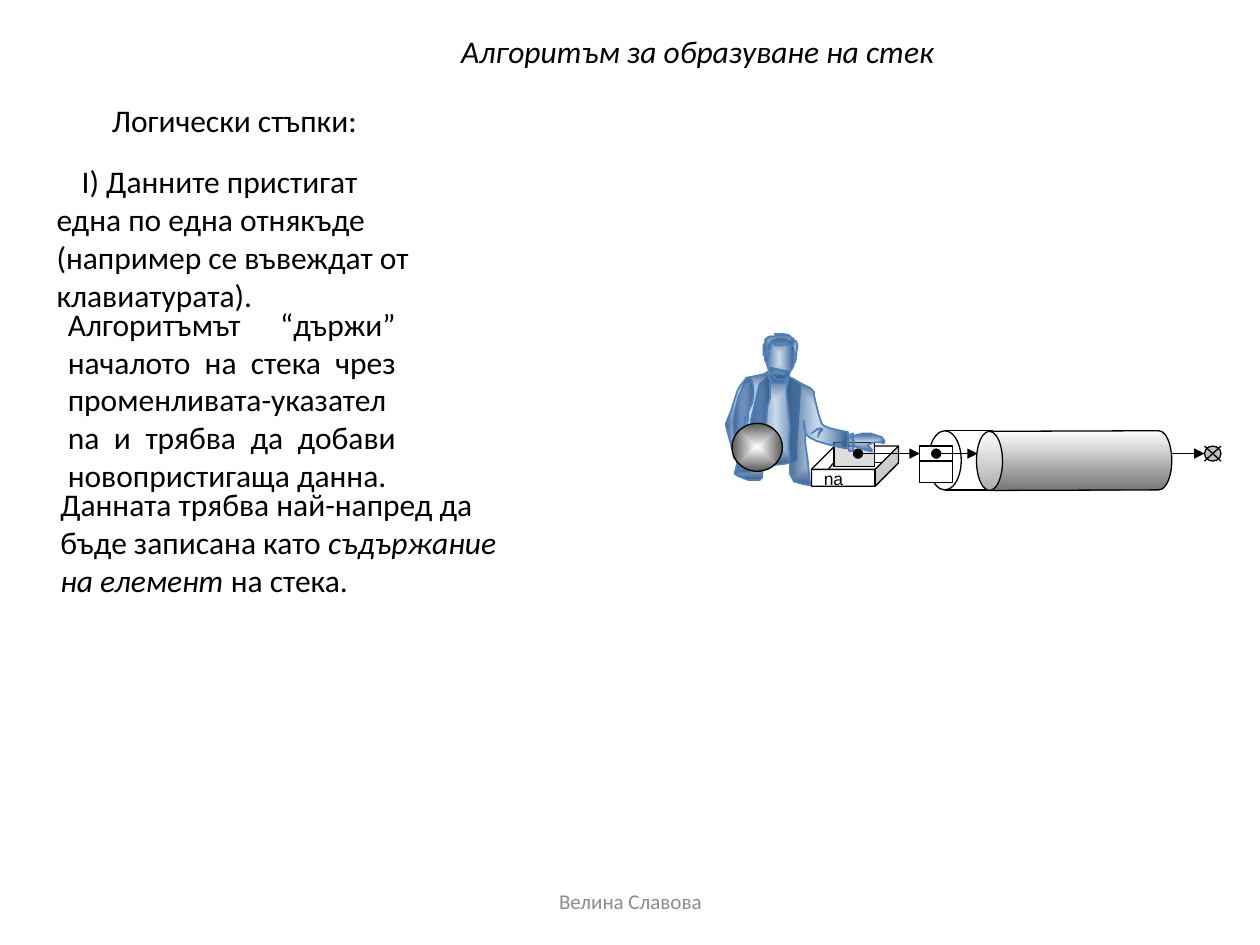
from dataclasses import dataclass

from lxml import etree
from pptx import Presentation
from pptx.dml.color import RGBColor
from pptx.enum.shapes import MSO_CONNECTOR, MSO_SHAPE
from pptx.enum.text import MSO_ANCHOR, MSO_AUTO_SIZE, PP_ALIGN
from pptx.oxml.ns import qn
from pptx.util import Pt

STRAIGHT = MSO_CONNECTOR.STRAIGHT
RECT, OVAL = MSO_SHAPE.RECTANGLE, MSO_SHAPE.OVAL
CAN, CUBE = MSO_SHAPE.CAN, MSO_SHAPE.CUBE
TOP, MIDDLE = MSO_ANCHOR.TOP, MSO_ANCHOR.MIDDLE
LEFT, CENTER, JUSTIFY = PP_ALIGN.LEFT, PP_ALIGN.CENTER, PP_ALIGN.JUSTIFY
NO_FIT = MSO_AUTO_SIZE.NONE


@dataclass(frozen=True)
class Theme:
    font: str = "Calibri"
    label_font: str = "Arial"
    text: int = 18
    footer: int = 12
    label: int = 10
    black: str = "000000"
    white: str = "FFFFFF"
    grey: str = "8C8C8C"
    silver: str = "C0C0C0"
    pale: str = "DDDDDD"
    can_shade: str = "767676"
    ball_shade: str = "595959"
    blue: str = "4F81BD"
    navy: str = "395C87"
    line: float = 0.75


T = Theme()
OUTLINE_UNIT = Pt(0.72)

TORSO = """623,299 625,300 635,306 632,353 632,365 624,368 615,369 605,369 596,365 596,334
603,305 611,298 620,298 622,299"""
NECK = """612,292 612,295 611,296 611,300 612,301 613,303 614,304 620,304 623,303 625,301
625,298 626,295"""
SIDE_HAIR = """630,270 632,271 633,275 632,279 632,281 630,282 630,279 629,275 628,274
630,274 630,273"""
EAR = "630,281 632,281 632,284 631,287 631,288 630,288 630,283"
FACE = """628,272 629,274 630,276 630,290 629,292 627,295 626,299 624,300 623,301 617,301
615,300 613,298 611,296 610,293 609,290 609,288 608,288 608,286 607,286 607,281 610,281
610,274 611,273 612,271 614,270 618,269 623,269 625,270 627,271"""
HAIR = """629,274 630,272 630,269 628,268 626,266 621,265 615,265 616,267 611,267 609,268
607,270 608,271 606,274 606,282 608,280 609,281 609,283 611,282 610,280 610,278 612,277
612,272 615,273 617,274 615,274"""
JACKET_LEFT = """609,295 608,296 606,297 602,298 592,300 591,304 586,315 583,328 582,336
583,348 584,360 585,364 585,368 583,376 586,378 591,380 594,381 603,381 605,379 605,369
606,363 606,357 608,337 609,323 611,316 611,302 610,299"""
FOLD = "594,328 593,343 595,348 593,354 592,364 589,350 589,343"
HAND_LEFT = """585,364 585,371 586,374 589,375 594,375 596,374 597,373 597,369 598,369
599,367 599,366 597,363 595,361 593,361 591,359 584,361"""
CUFF_LEFT = "594,359 592,361 588,363 585,364 583,364 582,362 593,357"
SLEEVE_LEFT = """595,300 592,301 590,303 587,307 585,311 580,327 577,334 576,337 577,341
581,356 583,363 589,362 597,359 591,340 591,333 597,320 598,313 598,309 597,303"""
HAND_RIGHT = """674,354 678,354 681,355 687,357 692,358 692,357 689,354 689,353 691,352
694,351 699,351 701,352 702,351 702,350 700,347 697,346 691,344 685,344 677,346 669,350
669,355"""
CUFF_RIGHT = "677,358 678,351 677,348 677,344 672,346 674,358"
JACKET_RIGHT = """630,301 635,304 643,308 646,311 646,314 650,330 652,336 654,338 659,340
668,342 673,343 673,352 672,356 667,355 658,353 648,350 642,347 640,345 638,340 638,334
639,343 639,351 641,365 643,385 637,384 630,382 627,376 627,367 626,352 627,339 625,320
624,310 626,299"""
ELBOW_CREASE = """652,340 649,340 644,344 649,341 652,341 650,343 649,347 651,343 653,341"""
FIGURE = [
    (TORSO, 1), (NECK, 1), (SIDE_HAIR, 1), (EAR, 1), (FACE, 1), (HAIR, 1),
    (JACKET_LEFT, 1), (FOLD, T.line), (HAND_LEFT, 1), (CUFF_LEFT, 1),
    (SLEEVE_LEFT, 1), (HAND_RIGHT, 1), (CUFF_RIGHT, 1), (JACKET_RIGHT, 1),
    (ELBOW_CREASE, T.line),
]


def rgb(value):
    return RGBColor.from_string(value)


def set_line(shape, color=T.black, width=T.line):
    shape.line.color.rgb = rgb(color)
    shape.line.width = Pt(width)


def set_gradient(shape, start, end, path=None, alpha=100):
    shape.fill.gradient()
    grad = shape._element.spPr.find(qn("a:gradFill"))
    for child in list(grad):
        grad.remove(child)
    grad.set("rotWithShape", "0")
    stops = etree.SubElement(grad, qn("a:gsLst"))
    for pos, color, opacity in ((0, start, alpha), (100, end, 100)):
        stop = etree.SubElement(stops, qn("a:gs"), pos=str(pos * 1000))
        clr = etree.SubElement(stop, qn("a:srgbClr"), val=color)
        if opacity < 100:
            etree.SubElement(clr, qn("a:alpha"), val=str(opacity * 1000))
    if path:
        node = etree.SubElement(grad, qn("a:path"), {"path": path})
        etree.SubElement(node, qn("a:fillToRect"), dict.fromkeys("ltrb", "50000"))
    else:
        etree.SubElement(grad, qn("a:lin"), ang="5400000", scaled="0")


def add_box(s, kind, x, y, w, h, fill=T.white):
    sp = s.shapes.add_shape(kind, Pt(x), Pt(y), Pt(w), Pt(h))
    sp.shadow.inherit = False
    sp.fill.solid()
    sp.fill.fore_color.rgb = rgb(fill)
    set_line(sp)
    return sp


def add_line(s, x1, y1, x2, y2, head=None, tail=None):
    cn = s.shapes.add_connector(STRAIGHT, Pt(x1), Pt(y1), Pt(x2), Pt(y2))
    set_line(cn)
    ln = cn.line._get_or_add_ln()
    for tag, kind in (("a:headEnd", head), ("a:tailEnd", tail)):
        if kind:
            etree.SubElement(ln, qn(tag), type=kind)
    etree.SubElement(cn._element.spPr, qn("a:effectLst"))
    return cn


def add_outline(s, outline, width):
    points = [tuple(map(int, pair.split(","))) for pair in outline.split()]
    builder = s.shapes.build_freeform(*points[0], scale=OUTLINE_UNIT)
    builder.add_line_segments(points[1:], close=True)
    sp = builder.convert_to_shape()
    sp.shadow.inherit = False
    set_gradient(sp, T.blue, T.navy, "rect", 29)
    set_line(sp, T.blue, width)


def write(sp, runs, size=T.text, font=T.font, color=T.black, align=LEFT,
          anchor=MIDDLE, wrap=True, indent=0):
    tf = sp.text_frame
    tf.auto_size = NO_FIT
    tf.word_wrap = wrap
    tf.vertical_anchor = anchor
    p = tf.paragraphs[0]
    p.alignment = align
    p.font.name, p.font.size, p.font.color.rgb = font, Pt(size), rgb(color)
    if indent:
        p._p.get_or_add_pPr().set("indent", str(Pt(indent)))
    for text, italic in runs:
        r = p.add_run()
        r.text = text
        if italic:
            r.font.italic = True


def add_text(s, x, y, w, h, *runs, **style):
    sp = s.shapes.add_textbox(Pt(x), Pt(y), Pt(w), Pt(h))
    write(sp, runs, **style)


def add_title(s, text):
    sp = s.shapes.title
    sp.left, sp.top, sp.width, sp.height = Pt(256.3), Pt(15.8), Pt(301.7), Pt(26.6)
    write(sp, [(text, True)], wrap=False)


def add_stack(s):
    add_box(s, OVAL, 530.6, 246.2, 18.7, 33.8)
    add_box(s, RECT, 525.6, 262.8, 18.7, 13)
    pointer_cell = add_box(s, RECT, 525.6, 254.9, 18.7, 8.6)
    add_line(s, 535, 259.2, 558.7, 259.2, "oval", "triangle")
    add_line(s, 665.3, 259.2, 688.3, 259.2, tail="triangle")
    x, y, w, h = 688.3, 254.9, 9.4, 8.6
    add_box(s, OVAL, x, y, w, h, T.silver)
    add_line(s, x, y, x + w, y + h)
    add_line(s, x, y + h, x + w, y)
    for edge in (246.2, 280):
        add_line(s, 540, edge, 567.4, edge)
    can = add_box(s, CAN, 596.9, 207.4, 33.8, 111.6)
    can.rotation = 269.8
    can.adjustments[0] = 0.44
    set_gradient(can, T.white, T.can_shade)
    return pointer_cell


def add_pointer_box(s, pointer_cell):
    cube = add_box(s, CUBE, 463.7, 254.9, 49.7, 23)
    cube.adjustments[0] = 0.58
    add_line(s, 476.6, 254.9, 476.6, 264.2)
    add_line(s, 504, 264.2, 476.6, 264.2)
    add_line(s, 476.6, 264.2, 473, 268.6)
    add_box(s, RECT, 476.6, 252.7, 23, 13.9, T.pale)
    arrow = add_line(s, 490.3, 259.2, 525.6, 259.2, "oval", "triangle")
    arrow.end_connect(pointer_cell, 1)
    add_text(s, 463.7, 263.9, 36, 20, ("na", False), size=T.label,
             font=T.label_font, anchor=TOP)


def main():
    prs = Presentation()
    prs.slide_width, prs.slide_height = Pt(720), Pt(540)
    s = prs.slides.add_slide(prs.slide_layouts[5])
    add_title(s, "Алгоритъм за образуване на стек")
    add_text(s, 25.2, 89.3, 224.6, 84.2,
             ("I) Данните пристигат една по една отнякъде (например се въвеждат от "
              "клавиатурата).", False), anchor=TOP, indent=14.4)
    add_text(s, 56.9, 54, 162.7, 26.6, ("Логически стъпки:", False),
             anchor=TOP, wrap=False)
    pointer_cell = add_stack(s)
    add_pointer_box(s, pointer_cell)
    add_text(s, 31.7, 176.4, 201.6, 103.7,
             ("Алгоритъмът “държи” началото на стека чрез променливата-указател na "
              "и трябва да добави новопристигаща данна.", False), align=JUSTIFY)
    for outline, width in FIGURE:
        add_outline(s, outline, width)
    ball = add_box(s, OVAL, 418.3, 241.9, 28.8, 27.4)
    set_gradient(ball, T.white, T.ball_shade, "shape")
    add_text(s, 27.4, 277.2, 268.6, 64.8,
             ("Данната трябва най-напред да бъде записана като ", False),
             ("съдържание на елемент", True), (" на стека.", False))
    add_text(s, 246.2, 500.4, 228.2, 28.8, ("Велина Славова", False),
             size=T.footer, color=T.grey, align=CENTER)
    prs.save("out.pptx")


if __name__ == "__main__":
    main()
